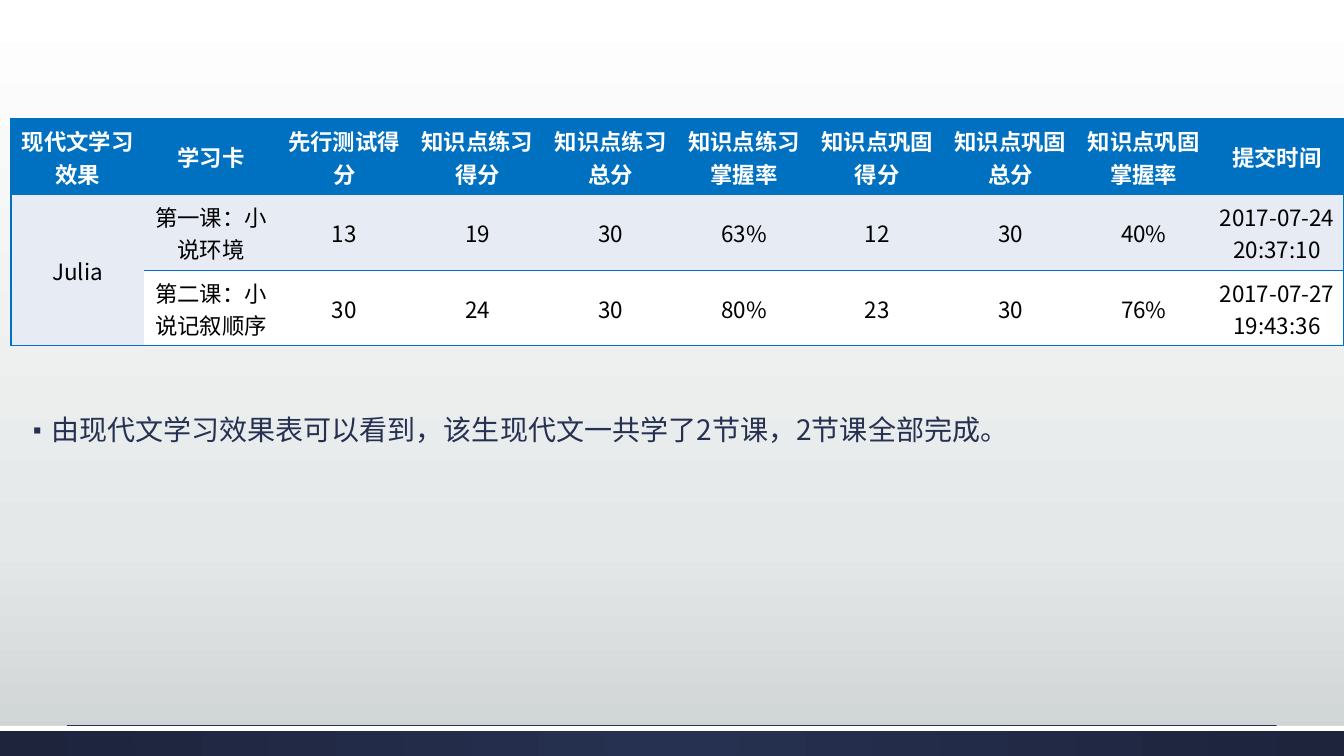
from dataclasses import dataclass

from lxml import etree
from pptx import Presentation
from pptx import util as u
from pptx.dml.color import RGBColor
from pptx.enum import shapes, text
from pptx.oxml import ns

FONT = "Noto Sans CJK SC"
BLUE, NAVY, WHITE, BLACK, PALE = "0070C0", "263050", "FFFFFF", "000000", "E7EBF4"


@dataclass
class ScoreRow:
    values: list[str]
    fill: str
    color: str = BLACK
    bold: bool = False


@dataclass
class FooterBand:
    top: float
    height: float
    fill: str


SCORE_ROWS = [
    ScoreRow(["现代文学习效果", "学习卡", "先行测试得分", "知识点练习得分", "知识点练习总分",
              "知识点练习掌握率", "知识点巩固得分", "知识点巩固总分", "知识点巩固掌握率",
              "提交时间"], BLUE, WHITE, True),
    ScoreRow(["Julia", "第一课：小说环境", "13", "19", "30", "63%", "12", "30", "40%",
              "2017-07-24 20:37:10"], PALE),
    ScoreRow(["", "第二课：小说记叙顺序", "30", "24", "30", "80%", "23", "30", "76%",
              "2017-07-27 19:43:36"], WHITE),
]
FOOTER_BANDS = [FooterBand(7.2, 0.3, NAVY), FooterBand(7.2, 0.05, WHITE)]
SUMMARY = "由现代文学习效果表可以看到，该生现代文一共学了2节课，2节课全部完成。"


def rgb(color: str) -> RGBColor:
    return RGBColor.from_string(color)


def add(parent, tag: str, **attributes: str):
    return etree.SubElement(parent, ns.qn(tag), **attributes)


def set_gradient(owner, stops: list[tuple[int, str]], radial: bool = False) -> None:
    gradient = owner.find(".//" + ns.qn("a:gradFill"))
    for child in list(gradient):
        gradient.remove(child)
    stop_list = add(gradient, "a:gsLst")
    for position, color in stops:
        stop = add(stop_list, "a:gs", pos=str(position * 1000))
        add(stop, "a:srgbClr", val=color)
    if radial:
        center = add(gradient, "a:path", path="circle")
        add(center, "a:fillToRect", l="50000", t="50000", r="50000", b="50000")
    else:
        add(gradient, "a:lin", ang="5400000", scaled="0")


def style_paragraph(paragraph, size: int, color: str, bold: bool = False) -> None:
    font = paragraph.font
    font.size = u.Pt(size)
    font.bold = bold
    font.color.rgb = rgb(color)
    font.name = FONT
    latin = paragraph._p.find(".//" + ns.qn("a:latin"))
    latin.addnext(latin.makeelement(ns.qn("a:ea"), {"typeface": FONT}))


def set_borders(cell, visible: set[str]) -> None:
    properties = cell._tc.get_or_add_tcPr()
    for index, side in enumerate(("L", "R", "T", "B")):
        border = properties.makeelement(ns.qn(f"a:ln{side}"), {"w": str(u.Pt(1))})
        if side in visible:
            add(add(border, "a:solidFill"), "a:srgbClr", val=BLUE)
        else:
            add(border, "a:noFill")
        properties.insert(index, border)


def draw_footer(slide, band: FooterBand) -> None:
    bar = slide.shapes.add_shape(shapes.MSO_SHAPE.RECTANGLE, 0, u.Inches(band.top),
                                 u.Inches(13.33), u.Inches(band.height))
    bar.shadow.inherit = False
    bar.line.fill.background()
    if band.fill == NAVY:
        bar.fill.gradient()
        set_gradient(bar._element, [(0, NAVY), (100, "1D243C")], radial=True)
    else:
        bar.fill.solid()
        bar.fill.fore_color.rgb = rgb(band.fill)


def draw_footer_rule(slide) -> None:
    rule = slide.shapes.add_connector(shapes.MSO_CONNECTOR.STRAIGHT, u.Inches(0.67),
                                      u.Inches(7.2), u.Inches(12.66), u.Inches(7.2))
    rule.line.color.rgb = rgb(NAVY)
    rule.line.width = u.Pt(0.75)
    add(rule._element.spPr, "a:effectLst")


def draw_scores(slide, rows: list[ScoreRow]) -> None:
    last = len(rows[0].values) - 1
    scores = slide.shapes.add_table(len(rows), last + 1, u.Inches(0.11), u.Inches(1.18),
                                    u.Inches(13.22), u.Inches(2.25)).table
    scores.horz_banding = False
    for row_index, row in enumerate(rows):
        for column, value in enumerate(row.values):
            cell = scores.cell(row_index, column)
            cell.margin_left = cell.margin_right = cell.margin_top = u.Inches(0.01)
            cell.margin_bottom = 0
            cell.vertical_anchor = text.MSO_ANCHOR.MIDDLE
            cell.fill.solid()
            cell.fill.fore_color.rgb = rgb(row.fill)
            set_borders(cell, {"T", "B"} | ({"L"} if column == 0 else set())
                        | ({"R"} if column == last else set()))
            cell.text = value
            paragraph = cell.text_frame.paragraphs[0]
            paragraph.alignment = text.PP_ALIGN.CENTER
            style_paragraph(paragraph, 16, row.color, row.bold)
    scores.cell(1, 0).merge(scores.cell(2, 0))


def draw_summary(slide) -> None:
    summary = slide.shapes.add_textbox(u.Inches(0.11), u.Inches(4.08),
                                       u.Inches(12.97), u.Inches(1.59)).text_frame
    summary.word_wrap = True
    paragraph = summary.paragraphs[0]
    paragraph.text = SUMMARY
    paragraph.line_spacing = 0.9
    properties = paragraph._p.get_or_add_pPr()
    properties.set("marL", str(u.Inches(0.3)))
    properties.set("indent", str(u.Inches(-0.25)))
    add(add(properties, "a:buClr"), "a:srgbClr", val=NAVY)
    add(properties, "a:buSzPct", val="80000")
    add(properties, "a:buFont", typeface=FONT)
    add(properties, "a:buChar", char="▪")
    style_paragraph(paragraph, 20, NAVY)


def main() -> None:
    deck = Presentation()
    deck.slide_width, deck.slide_height = u.Inches(13.33), u.Inches(7.5)
    slide = deck.slides.add_slide(deck.slide_layouts[6])
    slide.background.fill.gradient()
    set_gradient(slide._element, [(0, WHITE), (72, "E5E8E8"), (100, "CDD2D2")])
    for band in FOOTER_BANDS:
        draw_footer(slide, band)
    draw_footer_rule(slide)
    draw_summary(slide)
    draw_scores(slide, SCORE_ROWS)
    deck.save("out.pptx")


if __name__ == "__main__":
    main()
